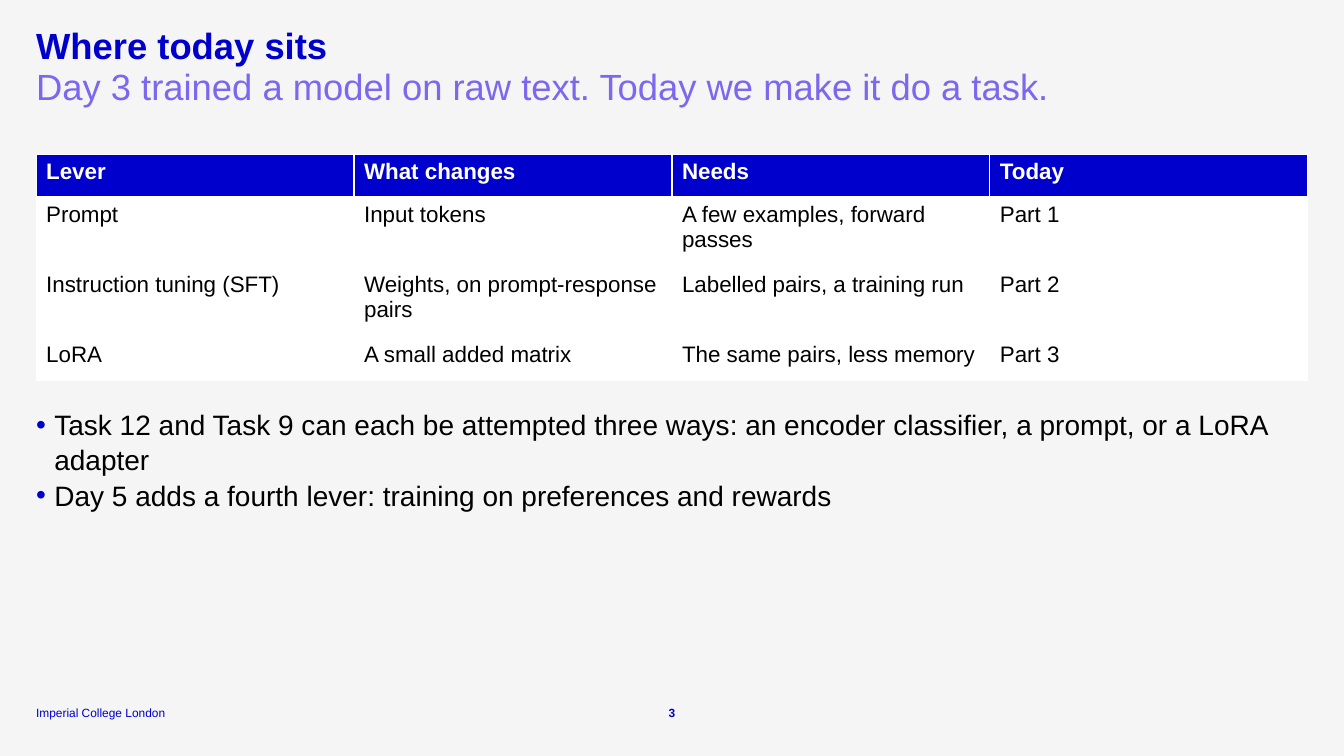
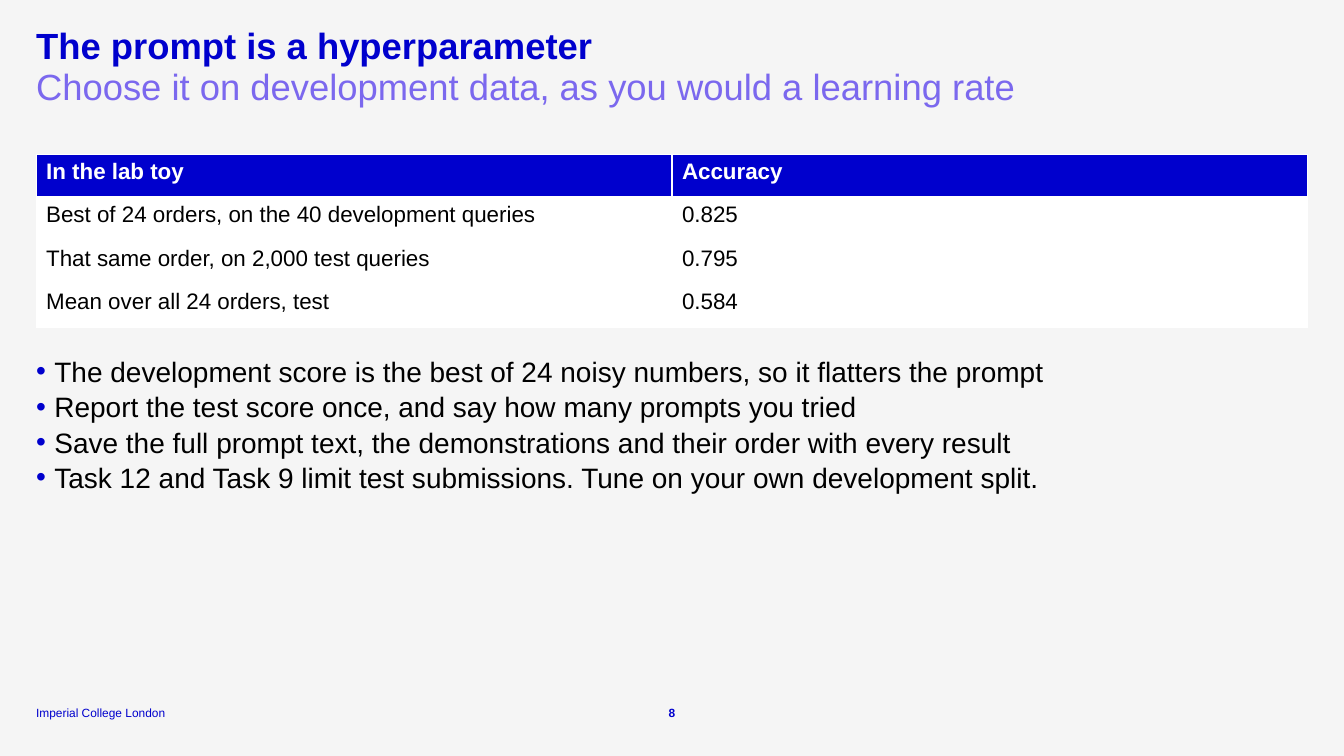
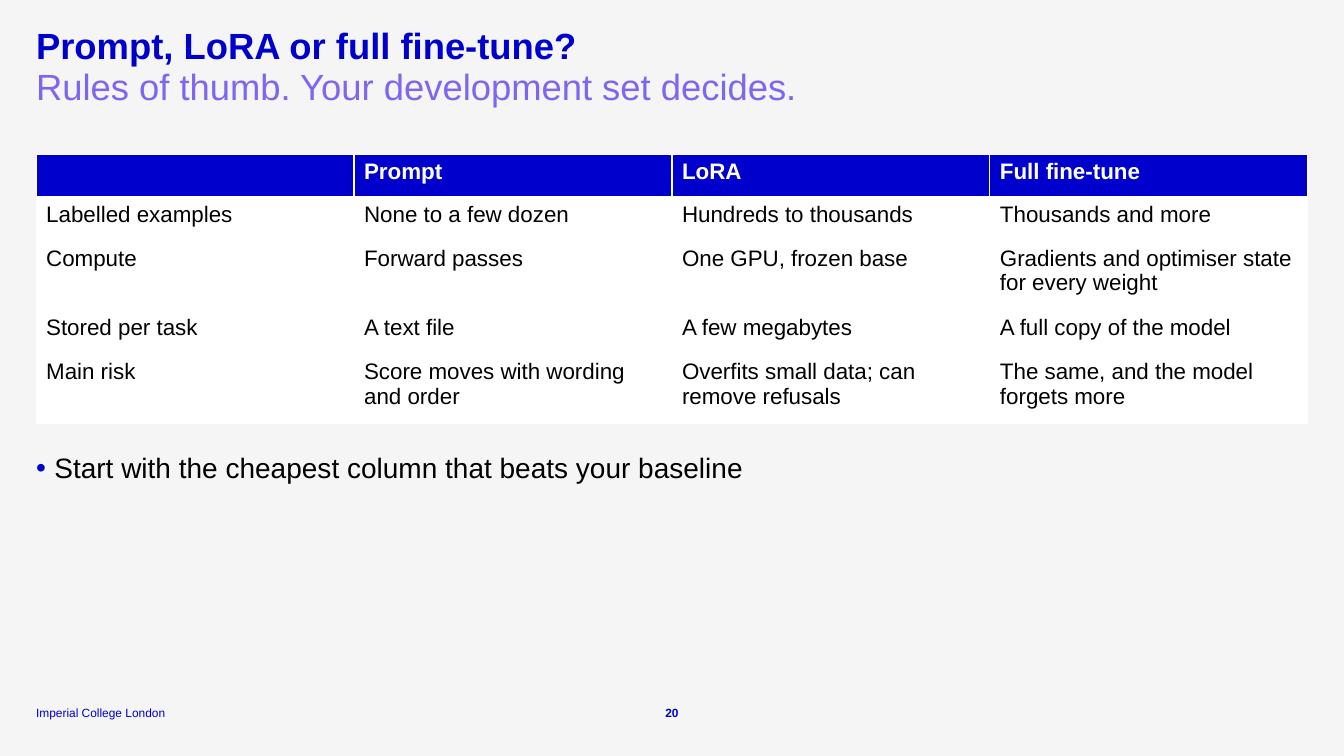
from lxml.etree import SubElement
from pptx import Presentation
from pptx.dml.color import RGBColor
from pptx.enum.text import MSO_ANCHOR, MSO_AUTO_SIZE, PP_ALIGN
from pptx.oxml.ns import qn
from pptx.util import Cm, Pt

# Shared colours
BLUE, VIOLET, BLACK, WHITE, PAPER = "0000CD", "7B68EE", "000000", "FFFFFF", "F5F5F5"

# Shared measures in centimetres
SLIDE_WIDTH, SLIDE_HEIGHT = 33.87, 19.05
MARGIN, CONTENT_WIDTH = 0.91, 32.05
TITLE_TOP, HEADING_HEIGHT = 0.71, 1.03
TABLE_TOP, ROW_HEIGHT, EXTRA_LINE = 3.89, 1.09, 0.67
BULLET_GAP, BULLET_LINE, BULLET_INDENT = 0.64, 1.0, 0.46
FOOTER_TOP, FOOTER_HEIGHT, FOOTER_WIDTH, NUMBER_WIDTH = 17.75, 0.38, 3.94, 0.89


def rgb(hex_colour):
    return RGBColor.from_string(hex_colour)


class Deck:
    """Holds the style and the current slide."""

    font = "Arial"

    def __init__(self):
        self.prs = Presentation()
        self.prs.slide_width, self.prs.slide_height = Cm(SLIDE_WIDTH), Cm(SLIDE_HEIGHT)
        background = self.prs.slide_master.background.fill
        background.solid()
        background.fore_color.rgb = rgb(PAPER)
        self.slide = None

    def add_text(self, paragraph, text, size, colour, bold=False):
        run = paragraph.add_run()
        run.text = text
        run.font.name, run.font.size, run.font.bold = self.font, Pt(size), bold
        run.font.color.rgb = rgb(colour)

    def frame(self, shape, left, top, width, height, anchor=MSO_ANCHOR.TOP):
        """Places a text shape and gives its frame the common settings."""
        shape.left, shape.top, shape.width, shape.height = map(Cm, (left, top, width, height))
        frame = shape.text_frame
        frame.word_wrap, frame.auto_size = True, MSO_AUTO_SIZE.NONE
        frame.margin_left = frame.margin_top = frame.margin_right = frame.margin_bottom = 0
        frame.vertical_anchor = anchor
        return frame

    def text_box(self, *place, **options):
        return self.frame(self.slide.shapes.add_textbox(0, 0, 0, 0), *place, **options)

    def heading(self, frame, text, colour, bold):
        paragraph = frame.paragraphs[0]
        paragraph.alignment, paragraph.line_spacing = PP_ALIGN.LEFT, 0.9
        self.add_text(paragraph, text, 26, colour, bold)

    def start(self, title, subtitle, number):
        """Adds a slide with its title, subtitle and footer."""
        self.slide = self.prs.slides.add_slide(self.prs.slide_layouts[5])
        title_frame = self.frame(self.slide.shapes.title, MARGIN, TITLE_TOP,
                                 CONTENT_WIDTH, HEADING_HEIGHT)
        self.heading(title_frame, title, BLUE, True)
        subtitle_frame = self.text_box(MARGIN, TITLE_TOP + HEADING_HEIGHT,
                                       CONTENT_WIDTH, HEADING_HEIGHT)
        self.heading(subtitle_frame, subtitle, VIOLET, False)
        self.footer("Imperial College London", MARGIN, FOOTER_WIDTH, PP_ALIGN.LEFT, False)
        self.footer(str(number), (SLIDE_WIDTH - NUMBER_WIDTH) / 2, NUMBER_WIDTH,
                    PP_ALIGN.CENTER, True)

    def footer(self, text, left, width, alignment, bold):
        frame = self.text_box(left, FOOTER_TOP, width, FOOTER_HEIGHT, anchor=MSO_ANCHOR.BOTTOM)
        frame.paragraphs[0].alignment = alignment
        self.add_text(frame.paragraphs[0], text, 8.5, BLUE, bold)

    def borders(self, cell, top, bottom):
        properties = cell._tc.get_or_add_tcPr()
        for side, width in (("L", 1), ("R", 1), ("T", top), ("B", bottom)):
            line = SubElement(properties, qn(f"a:ln{side}"), w=str(Pt(width)))
            SubElement(SubElement(line, qn("a:solidFill")), qn("a:srgbClr"), val=WHITE)

    def table(self, rows, two_line_rows=()):
        """Draws a table with a header row and returns its lower edge."""
        heights = [ROW_HEIGHT + EXTRA_LINE * (i in two_line_rows) for i in range(len(rows))]
        table = self.slide.shapes.add_table(
            len(rows), len(rows[0]), Cm(MARGIN), Cm(TABLE_TOP),
            Cm(CONTENT_WIDTH), Cm(sum(heights))).table
        for i, (texts, height) in enumerate(zip(rows, heights)):
            table.rows[i].height = Cm(height)
            is_header = i == 0
            for j, text in enumerate(texts):
                cell = table.cell(i, j)
                self.borders(cell, 3 if i == 1 else 1, 3 if is_header else 1)
                cell.fill.solid()
                cell.fill.fore_color.rgb = rgb(BLUE if is_header else WHITE)
                if text:
                    self.add_text(cell.text_frame.paragraphs[0], text, 16,
                                  WHITE if is_header else BLACK, is_header)
        return TABLE_TOP + sum(heights)

    def bullets(self, table_bottom, points):
        frame = self.text_box(MARGIN, table_bottom + BULLET_GAP, CONTENT_WIDTH,
                              BULLET_LINE * len(points))
        for i, point in enumerate(points):
            paragraph = frame.add_paragraph() if i else frame.paragraphs[0]
            properties = paragraph._p.get_or_add_pPr()
            properties.set("marL", str(Cm(BULLET_INDENT)))
            properties.set("indent", str(-Cm(BULLET_INDENT)))
            SubElement(SubElement(properties, qn("a:buClr")), qn("a:srgbClr"), val=BLUE)
            SubElement(properties, qn("a:buFont"), typeface=self.font)
            SubElement(properties, qn("a:buChar"), char="•")
            paragraph.line_spacing = 1.05
            self.add_text(paragraph, point, 20, BLACK)


def main():
    deck = Deck()

    # Levers of the day
    deck.start("Where today sits",
               "Day 3 trained a model on raw text. Today we make it do a task.", 3)
    levers_bottom = deck.table([
        ("Lever", "What changes", "Needs", "Today"),
        ("Prompt", "Input tokens", "A few examples, forward passes", "Part 1"),
        ("Instruction tuning (SFT)", "Weights, on prompt-response pairs",
         "Labelled pairs, a training run", "Part 2"),
        ("LoRA", "A small added matrix", "The same pairs, less memory", "Part 3"),
    ], two_line_rows=(1, 2))
    deck.bullets(levers_bottom, [
        "Task 12 and Task 9 can each be attempted three ways: "
        "an encoder classifier, a prompt, or a LoRA adapter",
        "Day 5 adds a fourth lever: training on preferences and rewards",
    ])

    # Prompt selection
    deck.start("The prompt is a hyperparameter",
               "Choose it on development data, as you would a learning rate", 8)
    accuracy_bottom = deck.table([
        ("In the lab toy", "Accuracy"),
        ("Best of 24 orders, on the 40 development queries", "0.825"),
        ("That same order, on 2,000 test queries", "0.795"),
        ("Mean over all 24 orders, test", "0.584"),
    ])
    deck.bullets(accuracy_bottom, [
        "The development score is the best of 24 noisy numbers, so it flatters the prompt",
        "Report the test score once, and say how many prompts you tried",
        "Save the full prompt text, the demonstrations and their order with every result",
        "Task 12 and Task 9 limit test submissions. Tune on your own development split.",
    ])

    # Comparison of methods
    deck.start("Prompt, LoRA or full fine-tune?",
               "Rules of thumb. Your development set decides.", 20)
    methods_bottom = deck.table([
        ("", "Prompt", "LoRA", "Full fine-tune"),
        ("Labelled examples", "None to a few dozen", "Hundreds to thousands",
         "Thousands and more"),
        ("Compute", "Forward passes", "One GPU, frozen base",
         "Gradients and optimiser state for every weight"),
        ("Stored per task", "A text file", "A few megabytes", "A full copy of the model"),
        ("Main risk", "Score moves with wording and order",
         "Overfits small data; can remove refusals", "The same, and the model forgets more"),
    ], two_line_rows=(2, 4))
    deck.bullets(methods_bottom, ["Start with the cheapest column that beats your baseline"])

    deck.prs.save("out.pptx")


if __name__ == "__main__":
    main()
